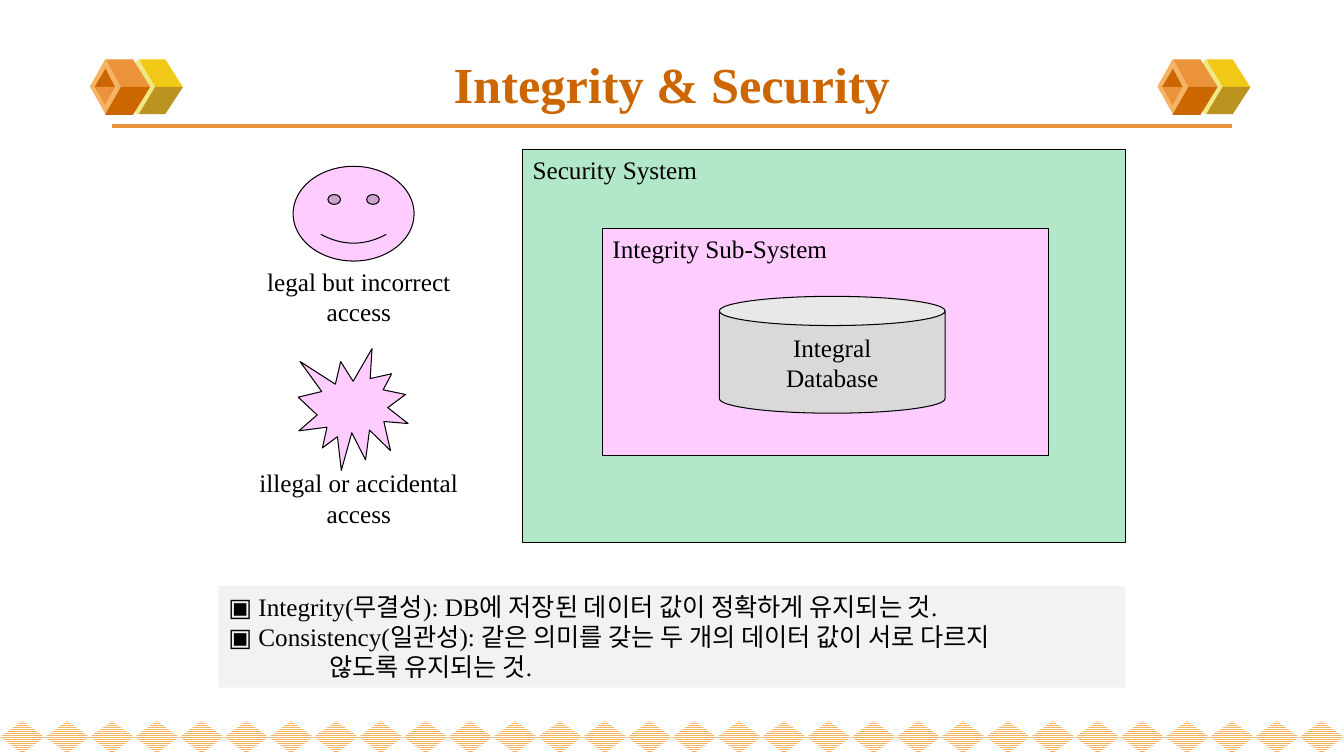
from lxml.etree import SubElement
from pptx import Presentation
from pptx.dml.color import RGBColor
from pptx.enum.dml import MSO_PATTERN as PATTERN
from pptx.enum.shapes import MSO_CONNECTOR as LINE, MSO_SHAPE as SHAPE
from pptx.enum.text import MSO_ANCHOR as ANCHOR, PP_ALIGN as ALIGN
from pptx.oxml.ns import qn
from pptx.util import Pt

rgb = RGBColor.from_string


def paint(shape, fill, edge=None):
    shape.shadow.inherit = False
    shape.fill.solid()
    shape.fill.fore_color.rgb = rgb(fill)
    if edge:
        shape.line.color.rgb = rgb(edge)
        shape.line.width = Pt(0.75)
    else:
        shape.line.fill.background()


def write(shape, text, size=18, color="000000", bold=False, align=ALIGN.LEFT, anchor=ANCHOR.TOP):
    frame = shape.text_frame
    frame.word_wrap = True
    frame.vertical_anchor = anchor
    frame.text = text
    for para in frame.paragraphs:
        para.alignment = align
        font = para.runs[0].font
        font.name = "Times New Roman"
        font.size = Pt(size)
        font.bold = bold
        font.color.rgb = rgb(color)


deck = Presentation()
deck.slide_width, deck.slide_height = Pt(960), Pt(540)
slide = deck.slides.add_slide(deck.slide_layouts[5])
shapes = slide.shapes

count = 30
step = 960 / count
for i in range(count):
    gem = shapes.add_shape(SHAPE.DIAMOND, Pt(i * step), Pt(515), Pt(step), Pt(23))
    paint(gem, "FFFFFF")
    gem.fill.patterned()
    gem.fill.pattern = PATTERN.NARROW_HORIZONTAL
    gem.fill.fore_color.rgb = rgb("F5B363")
    gem.fill.back_color.rgb = rgb("FFFFFF")

rule = shapes.add_connector(LINE.STRAIGHT, Pt(80), Pt(90), Pt(880), Pt(90))
rule.line.color.rgb = rgb("EB933B")
rule.line.width = Pt(2.25)
SubElement(rule._element.spPr, qn("a:effectLst"))

gems = [("F1E785", 82.8, 42.5, 31.7, 39.5), ("F5B363", 64.2, 42, 22.3, 39.6)]
faces = [
    ("F3C917", [(110.9, 62), (130.5, 62), (118.1, 42.4), (99.2, 42.4)]),
    ("BB9321", [(110.9, 62), (130.8, 62), (118.1, 81.5), (99.2, 81.5)]),
    ("EB933B", [(86.4, 62), (107.3, 62), (95, 42.4), (75.6, 42.4)]),
    ("CC6600", [(86.4, 62), (107.3, 62), (95, 82), (75, 82)]),
    ("CC6600", [(75.4, 49), (67.7, 62), (82.1, 62)]),
    ("EB933B", [(75, 75), (67.7, 62), (82.1, 62)]),
]
for shift in (0, 762.5):
    for color, x, y, w, h in gems:
        paint(shapes.add_shape(SHAPE.DIAMOND, Pt(x + shift), Pt(y), Pt(w), Pt(h)), color)
    for color, points in faces:
        spots = [(Pt(x + shift), Pt(y)) for x, y in points]
        path = shapes.build_freeform(*spots[0])
        path.add_line_segments(spots[1:], close=True)
        paint(path.convert_to_shape(), color)

title = shapes.title
title.left, title.top, title.width, title.height = Pt(48), Pt(32.4), Pt(864), Pt(54.7)
write(title, "Integrity & Security", size=36, color="CC6600", bold=True,
      align=ALIGN.CENTER, anchor=ANCHOR.MIDDLE)

notes = (
    "▣ Integrity(무결성): DB에 저장된 데이터 값이 정확하게 유지되는 것.\n"
    "▣ Consistency(일관성): 같은 의미를 갖는 두 개의 데이터 값이 서로 다르지\n"
    "않도록 유지되는 것."
)
mid = {"align": ALIGN.CENTER, "anchor": ANCHOR.MIDDLE}
black = "000000"
parts = [
    (SHAPE.RECTANGLE, 373.4, 107, 430.8, 280.8, "00B050", black, "Security System", {}),
    (SHAPE.RECTANGLE, 430.4, 163.4, 318.4, 162, "FFCCFF", black, "Integrity Sub-System", {}),
    (SHAPE.CAN, 513.8, 211.7, 161.3, 83.5, "D9D9D9", black, "Integral\nDatabase", mid),
    (SHAPE.RECTANGLE, 156, 418.5, 648, 72.7, "F2F2F2", None, notes, {}),
    (SHAPE.EXPLOSION1, 213, 249, 78.5, 87, "FFCCFF", black, None, {}),
    (SHAPE.SMILEY_FACE, 209.4, 118.8, 86.4, 67.7, "FFCCFF", black, None, {}),
]
drawn = []
for kind, x, y, w, h, fill, edge, text, style in parts:
    part = shapes.add_shape(kind, Pt(x), Pt(y), Pt(w), Pt(h))
    paint(part, fill, edge)
    if text:
        write(part, text, **style)
    drawn.append(part)

tint = drawn[0]._element.spPr.find(qn("a:solidFill"))[0]
SubElement(tint, qn("a:alpha")).set("val", "30000")
last = drawn[3].text_frame.paragraphs[-1]
last._p.get_or_add_pPr().set("marL", str(Pt(72)))

for y, text in [(186.5, "legal but incorrect access"), (330.5, "illegal or accidental access")]:
    label = shapes.add_textbox(Pt(159.8), Pt(y), Pt(193), Pt(51))
    write(label, text, align=ALIGN.CENTER)

deck.save("out.pptx")
